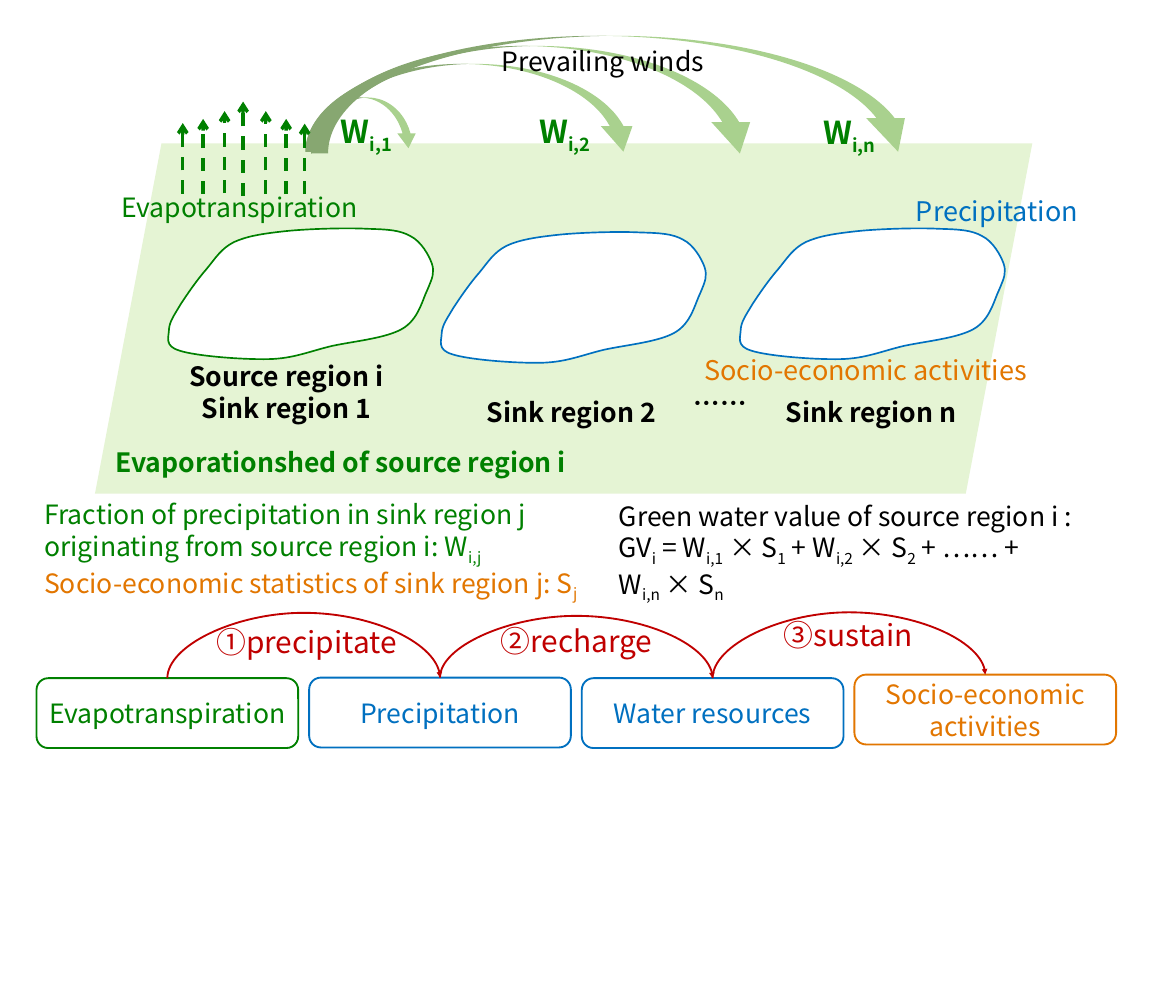
"""Build the slide on green water flows between source and sink regions."""
from dataclasses import dataclass
from itertools import cycle, pairwise

from lxml.etree import SubElement as Sub
from pptx import Presentation
from pptx.dml.color import RGBColor as RGB
from pptx.enum.dml import MSO_LINE as Dash
from pptx.enum.shapes import MSO_CONNECTOR as Link, MSO_SHAPE as Kind
from pptx.enum.text import MSO_ANCHOR as Anchor, MSO_AUTO_SIZE as Auto, PP_ALIGN as Align
from pptx.oxml.ns import qn
from pptx.util import Pt

FACE = "Noto Sans CJK SC"
HUES = {"green": "008000", "blue": "0070C0", "orange": "E27600", "red": "C00000",
        "black": "000000", "white": "FFFFFF", "field": "E5F4D4", "wind": "A9D18E"}
STEP, WIDE, HIGH = 328.6, 315.4, 84.2
EDGE = [
    (46.1, 49), (56.9, 36), (63.4, 24.5), (79.2, 16.6), (95, 9.4), (113.8, 6.5),
    (140.4, 3.6), (167, 0.7), (214.6, -0.7), (239.8, 0.7), (265, 1.4), (278.6, 2.2),
    (291.6, 9.4), (304.6, 15.8), (313.9, 32.4), (317.5, 42.5), (321.1, 53.3),
    (318.2, 59.8), (312.5, 73.4), (306, 86.4), (301.7, 109.4), (282.2, 121),
    (262.8, 132.5), (223.9, 136.1), (197.3, 141.8), (169.9, 148.3), (151.2, 157),
    (121, 157.7), (90, 158.4), (33.8, 154.1), (13.7, 147.6), (-5.8, 141.8),
    (0.7, 131), (0.7, 121.7), (1.4, 112.3), (7.2, 104.4), (14.4, 92.2),
    (22.3, 79.9), (35.3, 61.2), (46.1, 49),
]


@dataclass
class Label:
    """A block of text, with subscripts between tildes."""
    x: float
    y: float
    w: float
    h: float
    lines: tuple[str, ...]
    hues: tuple[str, ...] = ("black",)
    size: float = 32
    bold: bool = False
    align: Align = Align.CENTER
    pitch: float | None = None


@dataclass
class Lobe:
    """A region outline."""
    x: float
    y: float
    hue: str


@dataclass
class Wind:
    """A curved wind arrow."""
    x: float
    y: float
    w: float
    h: float
    head: float = 0.36


@dataclass
class Plume:
    """A dashed rising arrow."""
    x: float
    low: float
    top: float


@dataclass
class Stage:
    """A box in the bottom chain."""
    text: str
    hue: str
    top: float


LOBES = [Lobe(203, 275, "green"), Lobe(531.7, 279.4, "blue"), Lobe(892.1, 275, "blue")]
WINDS = [Wind(367.9, 43.2, 738, 139.7, 0.335), Wind(368.6, 77, 401.8, 105.8),
         Wind(375.1, 55.4, 540, 129.6), Wind(380.2, 117.4, 123.1, 61.2)]
PLUMES = [Plume(220.3, 233.3, 148.3), Plume(244.8, 234, 143.3), Plume(270.7, 232.6, 133.9),
          Plume(293, 236.2, 122.4), Plume(320.4, 233.3, 133.9), Plume(344.9, 234, 143.3),
          Plume(367.2, 234, 149)]
STAGES = [Stage("Evapotranspiration", "green", 817.2), Stage("Precipitation", "blue", 816.5),
          Stage("Water resources", "blue", 817.2),
          Stage("Socio-economic activities", "orange", 812.9)]
PEAKS = [739.4, 743, 738]
LABELS = [
    Label(211, 430.6, 268.6, 86.4, ("Source region i", "Sink region 1"), bold=True),
    Label(565.9, 473, 245.5, 46.8, ("Sink region 2",), bold=True),
    Label(931, 473, 238.3, 46.8, ("Sink region n",), bold=True),
    Label(808.6, 462.2, 118.8, 46.8, ("……",), bold=True),
    Label(114.5, 534.2, 592.6, 46.8, ("Evaporationshed of source region i",), ("green",),
          bold=True),
    Label(738.7, 598.3, 592.6, 123.8,
          ("Green water value of source region i :",
           "GV~i~ = W~i,1~ × S~1~ + W~i,2~ × S~2~ + …… +", "W~i,n~ × S~n~"),
          align=Align.LEFT),
    Label(1090.8, 231.1, 221.8, 46.8, ("Precipitation",), ("blue",), 32.5),
    Label(139, 226.8, 307.4, 46.1, ("Evapotranspiration",), ("green",), align=Align.LEFT),
    Label(46.1, 596.9, 717.1, 126,
          ("Fraction of precipitation in sink region j originating from source region i: W~i,j~",
           "Socio-economic statistics of sink region j: S~j~"),
          ("green", "orange"), align=Align.LEFT),
    Label(391, 131, 100.8, 53.3, ("W~i,1~",), ("green",), 38, True),
    Label(630.7, 131, 100.8, 53.3, ("W~i,2~",), ("green",), 38, True),
    Label(973.4, 132.5, 100.8, 53.3, ("W~i,n~",), ("green",), 38, True),
    Label(586.1, 64.8, 280.8, 33.1, ("Prevailing winds",), pitch=24.4),
    Label(841.7, 421.9, 420.5, 46.8, ("Socio-economic activities",), ("orange",), 32.6,
          align=Align.LEFT),
    Label(229, 747.4, 280.8, 51.1, ("①precipitate",), ("red",), 36),
    Label(572.4, 746.6, 244.8, 51.1, ("②recharge",), ("red",), 36),
    Label(911.5, 739.4, 221.8, 51.1, ("③sustain",), ("red",), 36),
]


def tint(hue: str) -> RGB:
    """Look up a colour."""
    return RGB.from_string(HUES[hue])


def paint(shape, fill: str = "", line: str = "", width: float = 2) -> None:
    """Set fill and outline and drop the shadow."""
    shape.shadow.inherit = False
    for part, hue in ((shape.fill, fill), (shape.line.fill, line)):
        if hue:
            part.solid()
            part.fore_color.rgb = tint(hue)
        else:
            part.background()
    if line:
        shape.line.width = Pt(width)


def write(frame, label: Label) -> None:
    """Fill a text frame with the lines of a label."""
    frame.word_wrap = True
    form = {"name": FACE, "size": Pt(label.size), "bold": label.bold}
    for n, (text, hue) in enumerate(zip(label.lines, cycle(label.hues))):
        para = frame.add_paragraph() if n else frame.paragraphs[0]
        para.alignment = label.align
        if label.pitch:
            para.line_spacing = Pt(label.pitch)
        for k, piece in enumerate(text.split("~")):
            if not piece:
                continue
            run = para.add_run()
            run.text = piece
            for key, value in form.items():
                setattr(run.font, key, value)
            run.font.color.rgb = tint(hue)
            props = run.font._element
            Sub(props, qn("a:ea"), typeface=FACE)
            if k % 2:
                props.set("baseline", "-25000")


def place(shapes, kind: Kind, x: float, y: float, w: float, h: float):
    """Add a preset shape."""
    return shapes.add_shape(kind, Pt(x), Pt(y), Pt(w), Pt(h))


def join(shapes, kind: Link, ends: tuple, hue: str, width: float, head: str, dash=None):
    """Add a line with an arrowhead."""
    line = shapes.add_connector(kind, *map(Pt, ends))
    line.line.color.rgb = tint(hue)
    line.line.width = Pt(width)
    if dash:
        line.line.dash_style = dash
    props = line._element.spPr
    Sub(props.find(qn("a:ln")), qn("a:tailEnd"), type=head)
    Sub(props, qn("a:effectLst"))
    return line


def outline(shapes, lobe: Lobe) -> None:
    """Draw a region with a smooth edge."""
    dots = [(Pt(x), Pt(y)) for x, y in EDGE]
    form = shapes.build_freeform(*dots[0])
    form.add_line_segments(dots[1:], close=True)
    shape = form.convert_to_shape(Pt(lobe.x), Pt(lobe.y))
    paint(shape, "white", lobe.hue)
    track = next(shape._element.iter(qn("a:path")))
    close = track.find(qn("a:close"))
    legs = track.findall(qn("a:lnTo"))
    for n in range(0, len(legs), 3):
        curve = Sub(track, qn("a:cubicBezTo"))
        close.addprevious(curve)
        for leg in legs[n:n + 3]:
            curve.append(leg[0])
            track.remove(leg)


def arch(shapes, x: float, start: float, end: float, peak: float) -> None:
    """Draw a curved arrow over a peak from one box top to the next."""
    w = abs(start - end)
    left, top = x + (STEP - w) / 2, (start + end - STEP) / 2
    line = join(shapes, Link.CURVE, (left, top, left + w, top + STEP), "red", 2.25, "triangle")
    props = line._element.spPr
    turn = {"rot": "5400000", "flipV": "1"} if end < start else {"rot": "16200000"}
    for key, value in {**turn, "flipH": "1"}.items():
        props.find(qn("a:xfrm")).set(key, value)
    bend = round((start - peak) / (start - end) * 100000)
    Sub(props.find(qn("a:prstGeom"))[0], qn("a:gd"), name="adj1", fmla=f"val {bend}")


def main() -> None:
    """Build and save the slide."""
    deck = Presentation()
    deck.slide_width, deck.slide_height = Pt(1417.38), Pt(1190.5)
    shapes = deck.slides.add_slide(deck.slide_layouts[6]).shapes
    field = place(shapes, Kind.PARALLELOGRAM, 114.5, 172.8, 1129.7, 421.9)
    field.adjustments[0] = 0.19
    paint(field, "field")
    for lobe in LOBES:
        outline(shapes, lobe)
    for wind in WINDS:
        arrow = place(shapes, Kind.CURVED_DOWN_ARROW, wind.x, wind.y, wind.w, wind.h)
        for n, value in enumerate((0.157, wind.head, 0.291)):
            arrow.adjustments[n] = value
        paint(arrow, "wind")
    for plume in PLUMES:
        ends = (plume.x, plume.low, plume.x, plume.top)
        join(shapes, Link.STRAIGHT, ends, "green", 4, "arrow", Dash.DASH)
    for label in LABELS:
        box = shapes.add_textbox(Pt(label.x), Pt(label.y), Pt(label.w), Pt(label.h))
        write(box.text_frame, label)
        box.text_frame.auto_size = Auto.SHAPE_TO_FIT_TEXT
    for n, stage in enumerate(STAGES):
        spot = (44 + n * STEP, stage.top, WIDE, HIGH)
        box = place(shapes, Kind.ROUNDED_RECTANGLE, *spot)
        paint(box, line=stage.hue, width=2.25)
        box.text_frame.vertical_anchor = Anchor.MIDDLE
        write(box.text_frame, Label(*spot, (stage.text,), (stage.hue,)))
    for n, ((a, b), peak) in enumerate(zip(pairwise(STAGES), PEAKS)):
        arch(shapes, 44 + WIDE / 2 + n * STEP, a.top, b.top, peak)
    deck.save("out.pptx")


if __name__ == "__main__":
    main()
